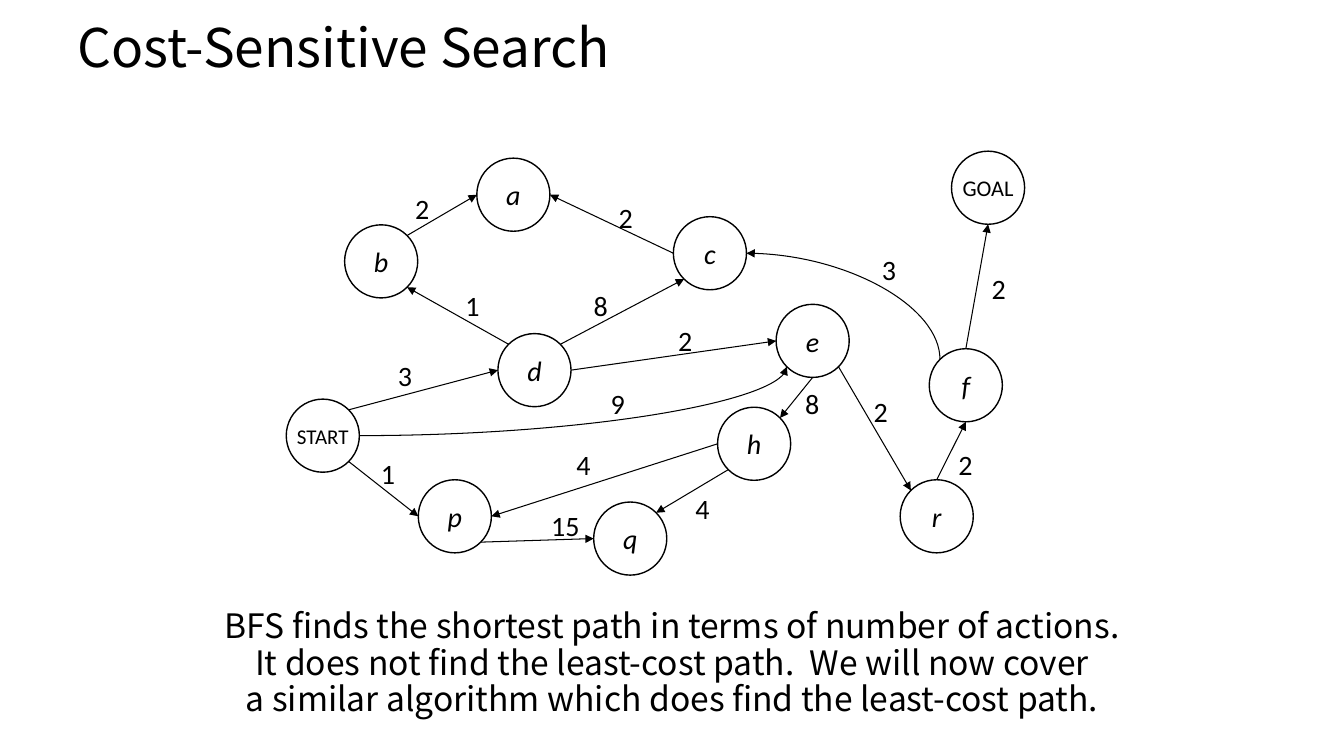
from lxml.etree import SubElement
from pptx import Presentation
from pptx.dml.color import RGBColor
from pptx.enum.shapes import MSO_CONNECTOR, MSO_SHAPE
from pptx.enum.text import MSO_ANCHOR, MSO_AUTO_SIZE, PP_ALIGN
from pptx.oxml.ns import qn
from pptx.util import Pt

TITLE = "Cost-Sensitive Search"
NOTES = [
    "BFS finds the shortest path in terms of number of actions.",
    "It does not find the least-cost path.  We will now cover",
    "a similar algorithm which does find the least-cost path.",
]
# name: left, top of the circle
NODES = {
    "START": (204.5, 285.1), "GOAL": (679.7, 108), "d": (355.7, 238.3),
    "b": (246.2, 160.6), "p": (298.8, 342.7), "q": (424.1, 358.6),
    "c": (481, 154.8), "e": (554.4, 217.4), "h": (512.6, 290.9),
    "a": (340.6, 113), "f": (663.8, 249.1), "r": (643, 342.7),
}
# from, side, to, side, cost, left and top of the cost
EDGES = [
    ("START", "SE", "p", "W", "1", 265, 322.6),
    ("p", "SE", "q", "W", "15", 386.6, 360),
    ("h", "SW", "q", "NE", "4", 489.6, 347.8),
    ("h", "W", "p", "E", "4", 404.6, 316.1),
    ("e", "S", "h", "NE", "8", 568.1, 272.2),
    ("e", "SE", "r", "NW", "2", 617, 277.9),
    ("r", "N", "f", "S", "2", 677.5, 316.1),
    ("f", "N", "GOAL", "S", "2", 701.3, 190.1),
    ("START", "NE", "d", "W", "3", 277.2, 252.7),
    ("d", "NW", "b", "SE", "1", 325.4, 202.3),
    ("b", "NE", "a", "W", "2", 289.4, 133.2),
    ("c", "W", "a", "E", "2", 434.9, 139.7),
    ("d", "NE", "c", "SW", "8", 416.9, 202.3),
    ("d", "E", "e", "W", "2", 477.4, 227.5),
    ("f", "NW", "c", "E", "3", 622.8, 177.1),
    ("START", "E", "e", "SW", "9", 429.1, 272.2),
]
CURVES = [("f", "c"), ("START", "e")]
SIZES = {"START": 15, "GOAL": 16}
COLORS = {"ink": "000000"}
HEAD, FACE = "Noto Sans CJK KR", "Calibri"
DIAM = 52.2
DIAG = 0.3536  # half of cos 45°
SIDES = {
    "N": (0, -0.5), "S": (0, 0.5), "W": (-0.5, 0), "E": (0.5, 0),
    "NW": (-DIAG, -DIAG), "NE": (DIAG, -DIAG),
    "SW": (-DIAG, DIAG), "SE": (DIAG, DIAG),
}
INK = RGBColor.from_string(COLORS["ink"])


def write(par, text, size, face, italic=False):
    run = par.add_run()
    run.text = text
    run.font.size, run.font.name = Pt(size), face
    run.font.italic = italic
    run.font.color.rgb = INK


def place(shape, *box):
    shape.left, shape.top, shape.width, shape.height = map(Pt, box)


def site(name, side):
    """Point where an edge meets a circle."""
    return [at + DIAM * (0.5 + off) for at, off in zip(NODES[name], SIDES[side])]


def add_node(group, name, left, top):
    node = group.shapes.add_shape(
        MSO_SHAPE.FLOWCHART_CONNECTOR, Pt(left), Pt(top), Pt(DIAM), Pt(DIAM))
    node.shadow.inherit = False
    node.fill.background()
    node.line.color.rgb, node.line.width = INK, Pt(1)
    frame = node.text_frame
    frame.word_wrap = False
    frame.vertical_anchor = MSO_ANCHOR.MIDDLE
    par = frame.paragraphs[0]
    par.alignment = PP_ALIGN.CENTER
    write(par, name, SIZES.get(name, 20), FACE, name not in SIZES)


def add_edge(group, tail, out, tip, into):
    (x1, y1), (x2, y2) = site(tail, out), site(tip, into)
    curved = (tail, tip) in CURVES
    turned = curved and out == "NW"  # leaves upward, so the box is turned
    if turned:
        mx, my = (x1 + x2) / 2, (y1 + y2) / 2
        dx, dy = (x1 - x2) / 2, (y1 - y2) / 2
        x1, y1, x2, y2 = mx + dy, my - dx, mx - dy, my + dx
    kind = MSO_CONNECTOR.CURVE if curved else MSO_CONNECTOR.STRAIGHT
    edge = group.shapes.add_connector(kind, Pt(x1), Pt(y1), Pt(x2), Pt(y2))
    edge.line.color.rgb, edge.line.width = INK, Pt(0.75)
    props = edge._element.spPr
    if curved:
        props.find(qn("a:prstGeom")).set("prst", "curvedConnector2")
    if turned:
        props.find(qn("a:xfrm")).set("rot", "5400000")
    SubElement(props.find(qn("a:ln")), qn("a:tailEnd"), type="triangle")
    SubElement(props, qn("a:effectLst"))


def add_cost(group, text, left, top):
    wide = 24.5 if len(text) == 1 else 36.7
    box = group.shapes.add_textbox(Pt(left), Pt(top), Pt(wide), Pt(31.7))
    box.text_frame.word_wrap = True
    write(box.text_frame.paragraphs[0], text, 20, FACE)


def main():
    deck = Presentation()
    deck.slide_width, deck.slide_height = Pt(960), Pt(540)
    slide = deck.slides.add_slide(deck.slide_layouts[1])

    title, body = slide.placeholders
    place(title, 48, 1.5, 864, 62.6)
    place(body, 0, 432, 960, 96.5)
    for holder in (title, body):
        holder.text_frame.auto_size = MSO_AUTO_SIZE.NONE
    title.text_frame.vertical_anchor = MSO_ANCHOR.MIDDLE
    head = title.text_frame.paragraphs[0]
    head.alignment = PP_ALIGN.LEFT
    write(head, TITLE, 38, HEAD)

    frame = body.text_frame
    for num, line in enumerate(NOTES):
        par = frame.add_paragraph() if num else frame.paragraphs[0]
        props = par._p.get_or_add_pPr()
        props.set("marL", "0")
        props.set("indent", "0")
        SubElement(props, qn("a:buNone"))
        par.alignment = PP_ALIGN.CENTER
        par.line_spacing, par.space_before = 0.9, Pt(0)
        write(par, line, 24, HEAD)

    graph = slide.shapes.add_group_shape()
    for name, spot in NODES.items():
        add_node(graph, name, *spot)
    for *ends, cost, left, top in EDGES:
        add_edge(graph, *ends)
        add_cost(graph, cost, left, top)
    deck.save("out.pptx")


if __name__ == "__main__":
    main()
